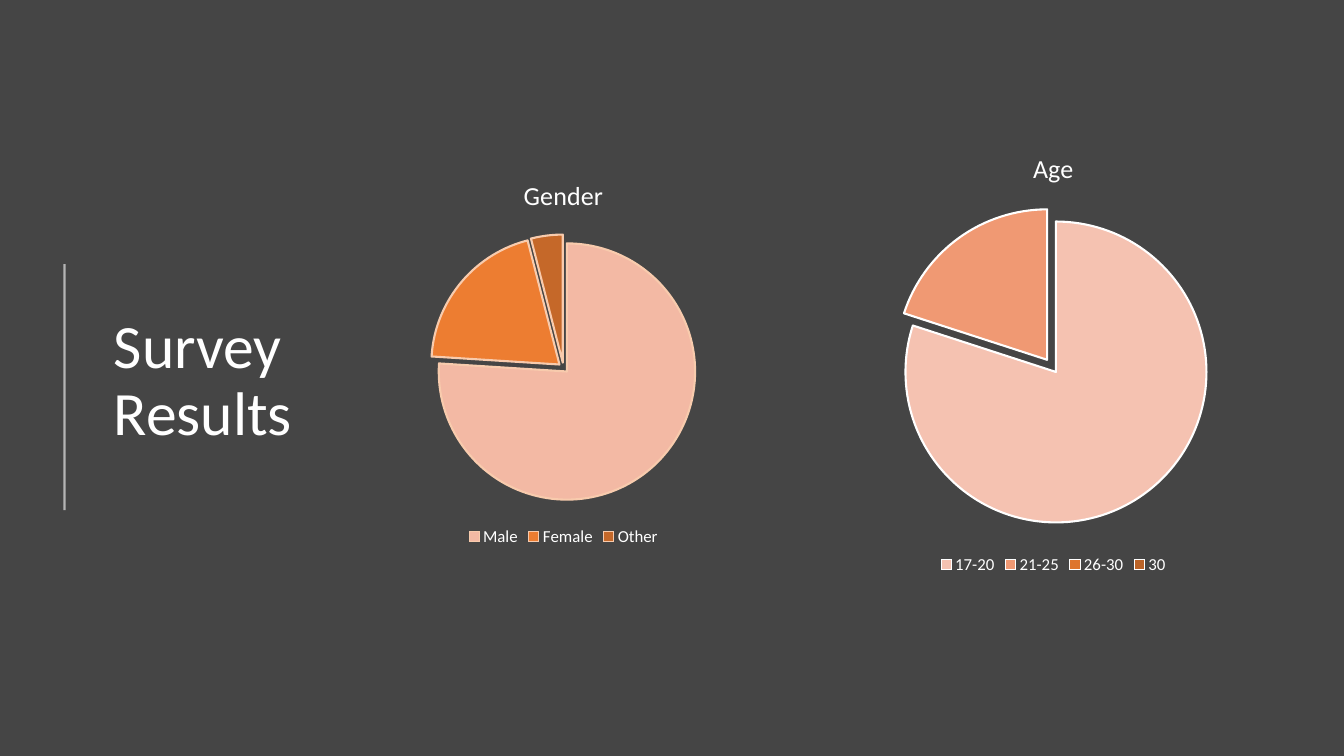
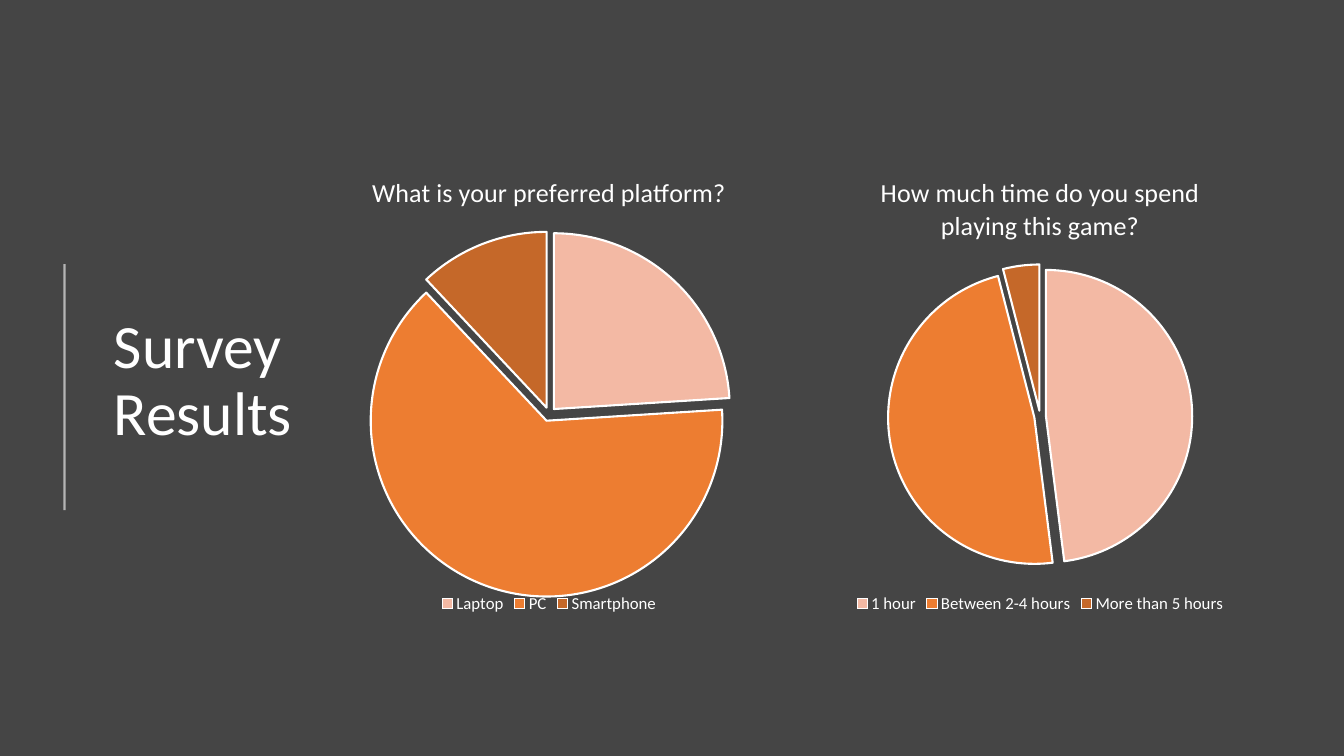
from dataclasses import dataclass

from lxml.etree import SubElement
from pptx import Presentation
from pptx.chart.data import CategoryChartData
from pptx.dml.color import RGBColor as RGB
from pptx.enum.chart import XL_CHART_TYPE as CT, XL_LEGEND_POSITION as LP
from pptx.enum.shapes import MSO_CONNECTOR as MC
from pptx.enum.text import MSO_ANCHOR as MA
from pptx.oxml import parse_xml
from pptx.oxml.ns import nsdecls, qn
from pptx.util import Inches, Pt


@dataclass(frozen=True)
class Theme:
    font: str = "Calibri"
    back: str = "454545"
    text: str = "FFFFFF"
    peach: str = "F8CBAD"
    three: tuple = ("F3B9A4", "ED7D31", "C56829")
    four: tuple = ("F5C2B1", "F09973", "DE752E", "BB6327")
    title_size: float = 44
    chart_title_size: float = 18.6
    legend_size: float = 12
    base_size: float = 10
    line_width: float = 1.5


class Deck:
    """Survey slides; every length is a percentage of the slide's width or height."""

    def __init__(self, theme):
        self.t = theme
        self.prs = Presentation()
        self.prs.slide_width, self.prs.slide_height = Inches(13.33), Inches(7.5)
        fill = self.prs.slide_master.background.fill
        fill.solid()
        fill.fore_color.rgb = RGB.from_string(theme.back)

    def box(self, x, y, w, h):
        width, height = self.prs.slide_width, self.prs.slide_height
        return [int(share * full / 100) for share, full in
                ((x, width), (y, height), (w, width), (h, height))]

    def style(self, font, size):
        font.name, font.size, font.bold = self.t.font, Pt(size), False
        font.color.rgb = RGB.from_string(self.t.text)

    def slide(self, title):
        self.s = self.prs.slides.add_slide(self.prs.slide_layouts[6])
        self.title(title)
        self.rule(4.8, 34.93, 67.47)

    def title(self, text):
        tf = self.s.shapes.add_textbox(*self.box(7.73, 10.4, 27.68, 80.27)).text_frame
        tf.word_wrap = True
        tf.vertical_anchor = MA.MIDDLE
        p = tf.paragraphs[0]
        p.text = text
        p.line_spacing = 0.9
        self.style(p.font, self.t.title_size)

    def rule(self, x, top, bottom):
        sp = self.s.shapes.add_connector(MC.STRAIGHT, *self.box(x, top, x, bottom))
        sp.line.width = Pt(self.t.line_width)
        sp.line.color.rgb = RGB.from_string(self.t.text)
        props = sp._element.spPr
        color = next(props.iter(qn("a:srgbClr")))
        SubElement(color, qn("a:alpha")).set("val", "60000")
        SubElement(props, qn("a:effectLst"))

    def pie(self, x, mid, w, h, title, values, colors, explode=4,
            series="", border="", pulled=None, plot=None):
        data = CategoryChartData()
        data.categories = list(values)
        data.add_series(series or title, list(values.values()))
        place = self.box(x, mid - h / 2, w, h)
        chart = self.s.shapes.add_chart(CT.PIE, *place, data).chart
        self.style(chart.font, self.t.base_size)
        chart.has_title = True
        p = chart.chart_title.text_frame.paragraphs[0]
        p.text = title
        self.style(p.font, self.t.chart_title_size)
        chart.chart_title.include_in_layout = False
        chart.has_legend = True
        chart.legend.position = LP.BOTTOM
        chart.legend.include_in_layout = False
        self.style(chart.legend.font, self.t.legend_size)
        chart.plots[0].vary_by_categories = True
        self.slices(chart.plots[0].series[0], colors, border or self.t.text,
                    explode, pulled or {})
        if plot:
            self.plot_area(chart, plot)

    def slices(self, ser, colors, border, explode, pulled):
        for i, color in enumerate(colors):
            fmt = ser.points[i].format
            fmt.fill.solid()
            fmt.fill.fore_color.rgb = RGB.from_string(color)
            fmt.line.color.rgb = RGB.from_string(border)
            fmt.line.width = Pt(self.t.line_width)
        for i, point in enumerate(ser._element.findall(qn("c:dPt"))):
            shift = pulled.get(i, explode)
            point.find(qn("c:spPr")).addprevious(
                parse_xml(f'<c:explosion {nsdecls("c")} val="{shift}"/>'))

    def plot_area(self, chart, shares):
        area = chart._chartSpace.chart.plotArea
        for old in area.findall(qn("c:layout")):
            area.remove(old)
        modes = "".join(f'<c:{k}Mode val="edge"/>' for k in "xy")
        sizes = "".join(f'<c:{k} val="{v}"/>' for k, v in zip("xywh", shares))
        area.insert(0, parse_xml(
            f'<c:layout {nsdecls("c")}><c:manualLayout>'
            f'<c:layoutTarget val="inner"/>{modes}{sizes}'
            f'</c:manualLayout></c:layout>'))


def main():
    t = Theme()
    deck = Deck(t)

    left, w, mid = 23.7, 36.45, 46.93
    deck.slide("Survey Results")
    deck.pie(left + w, mid, w, 59.2, "Age",
             {"17-20": 80, "21-25": 20, "26-30": 0, "30": 0},
             t.four, explode=3, pulled={1: 7})
    deck.pie(left, mid, w, 51.73, "Gender",
             {"Male": 76, "Female": 20, "Other": 4}, t.three, border=t.peach)

    left, w, mid, h = 22.6, 36.53, 51.13, 61.2
    deck.slide("Survey Results")
    deck.pie(left + w, mid, w, h, "How much time do you spend playing this game?",
             {"1 hour": 48, "Between 2-4 hours": 48, "More than 5 hours": 4},
             t.three, series="Series 1")
    deck.pie(left, mid, w, h, "What is your preferred platform?",
             {"Laptop": 24, "PC": 64, "Smartphone": 12},
             t.three, plot=(0.03, 0.18, 0.94, 0.76))

    deck.prs.save("out.pptx")


if __name__ == "__main__":
    main()
